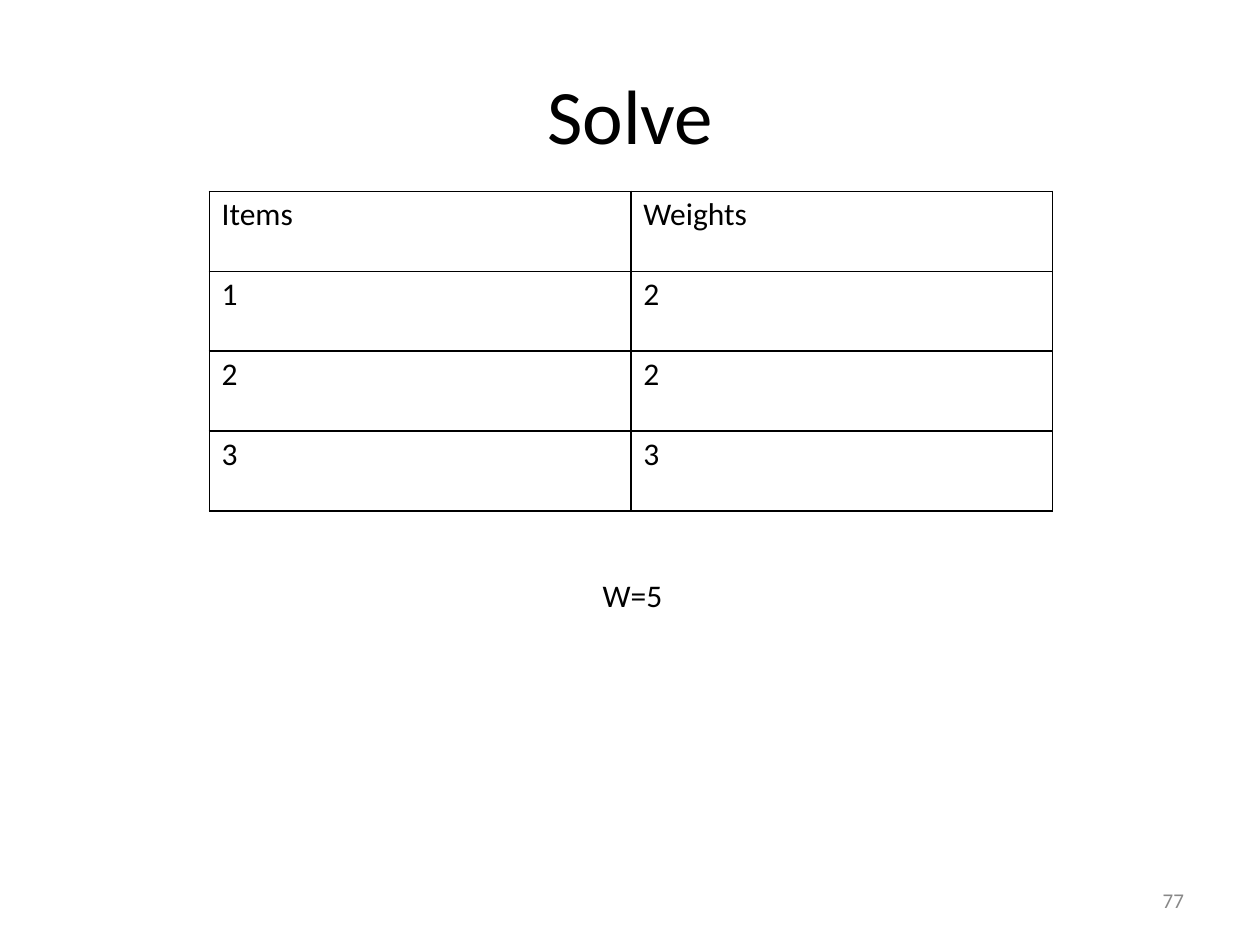
from lxml import etree
from pptx import Presentation
from pptx.dml.color import RGBColor
from pptx.enum.text import MSO_ANCHOR, MSO_AUTO_SIZE, PP_ALIGN
from pptx.oxml.ns import qn
from pptx.util import Cm, Pt

TOP = MSO_ANCHOR.TOP
NO_FIT = MSO_AUTO_SIZE.NONE
LEFT = PP_ALIGN.LEFT
COLORS = {"text": "000000", "border": "000000", "number": "888888"}
FONT = "Calibri"
ROWS = [("Items", "Weights"), ("1", "2"), ("2", "2"), ("3", "3")]


def write(tf, text, size, color, left=0.0, top=0.0):
    tf.text = text
    tf.margin_left, tf.margin_top = Cm(left), Cm(top)
    tf.margin_right = tf.margin_bottom = 0
    tf.word_wrap = False
    tf.auto_size = NO_FIT
    tf.vertical_anchor = TOP
    p = tf.paragraphs[0]
    p.alignment = LEFT
    style(p.runs[0].font, size, color)


def style(font, size, color):
    font.name = FONT
    font.size = Pt(size)
    font.bold = False
    font.color.rgb = RGBColor.from_string(COLORS[color])


prs = Presentation()
prs.slide_width, prs.slide_height = Cm(25.4), Cm(19.05)
s = prs.slides.add_slide(prs.slide_layouts[5])

title = s.shapes.title
title.left, title.top, title.width, title.height = Cm(11), Cm(1.3), Cm(3.43), Cm(1.93)
write(title.text_frame, "Solve", 44, "text", 0.03, 0.06)

table = s.shapes.add_table(len(ROWS), 2, Cm(4.22), Cm(3.86), Cm(17), Cm(6.44)).table
for column in table.columns:
    column.width = Cm(8.5)
for row, values in zip(table.rows, ROWS):
    row.height = Cm(1.61)
    for cell, value in zip(row.cells, values):
        cell.text = value
        cell.margin_left, cell.margin_top = Cm(0.25), Cm(0.08)
        cell.margin_right = cell.margin_bottom = 0
        cell.vertical_anchor = TOP
        style(cell.text_frame.paragraphs[0].runs[0].font, 18, "text")
        tcPr = cell._tc.get_or_add_tcPr()
        for side in ("a:lnL", "a:lnR", "a:lnT", "a:lnB"):
            ln = etree.SubElement(tcPr, qn(side), w=str(Pt(1)))
            fill = etree.SubElement(ln, qn("a:solidFill"))
            etree.SubElement(fill, qn("a:srgbClr"), val=COLORS["border"])
        cell.fill.background()

capacity = s.shapes.add_textbox(Cm(12.12), Cm(11.56), Cm(1.27), Cm(0.84))
write(capacity.text_frame, "W=5", 18, "text", 0.03, 0.06)

number = s.shapes.add_textbox(Cm(23.34), Cm(17.96), Cm(0.64), Cm(0.48))
write(number.text_frame, "77", 12, "number", 0.1)
number.text_frame.paragraphs[0].line_spacing = Pt(12.4)

prs.save("out.pptx")
